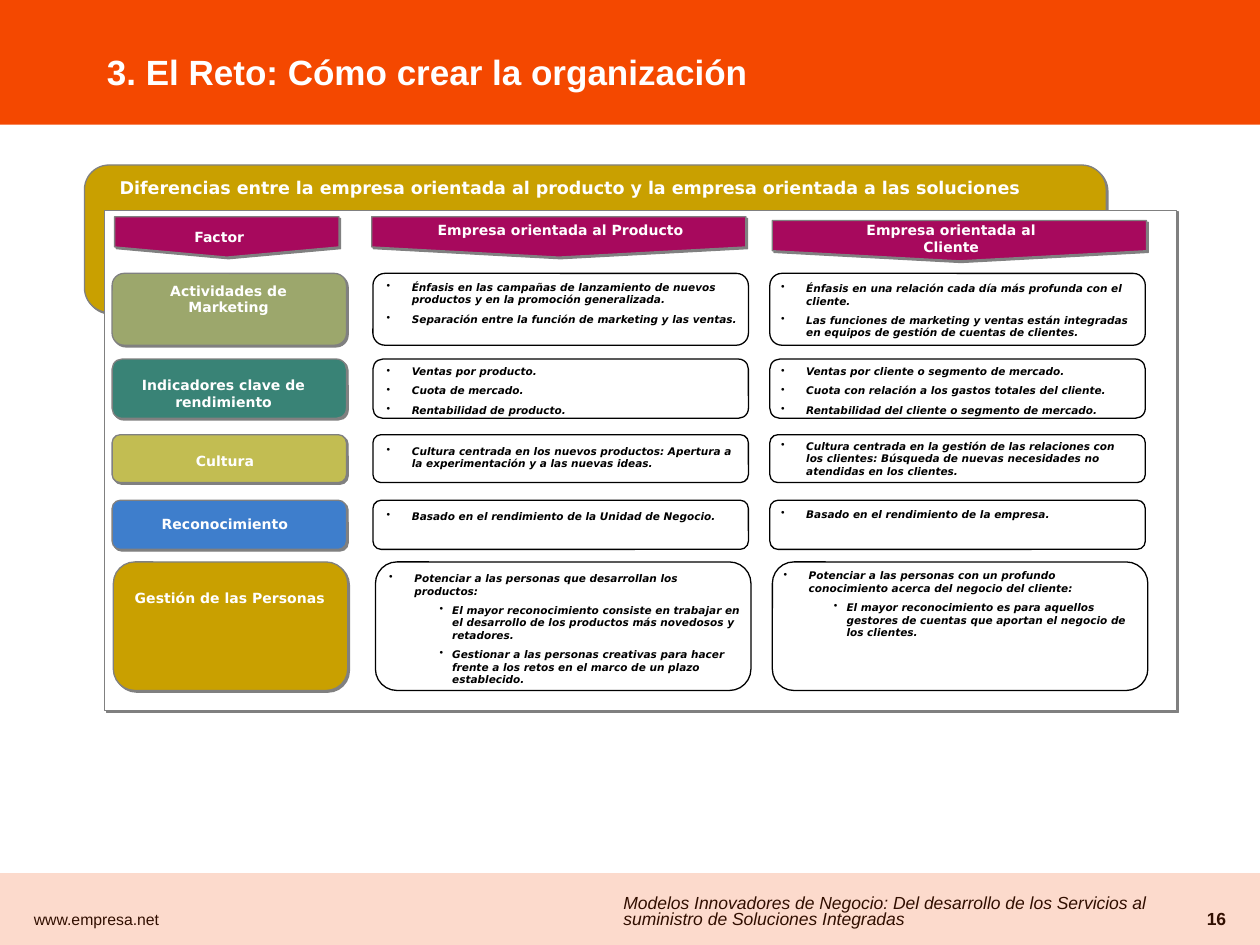
from lxml import etree
from pptx import Presentation
from pptx.dml.color import RGBColor
from pptx.enum.shapes import MSO_SHAPE
from pptx.enum.text import MSO_ANCHOR, MSO_AUTO_SIZE, PP_ALIGN
from pptx.oxml.ns import qn
from pptx.util import Inches, Pt

RECT, ROUND = MSO_SHAPE.RECTANGLE, MSO_SHAPE.ROUNDED_RECTANGLE
LEFT, CENTER, RIGHT = PP_ALIGN.LEFT, PP_ALIGN.CENTER, PP_ALIGN.RIGHT
TOP, MIDDLE = MSO_ANCHOR.TOP, MSO_ANCHOR.MIDDLE
GROW = MSO_AUTO_SIZE.SHAPE_TO_FIT_TEXT

COLORS = {
    "orange": "F44800", "gold": "C9A000", "plum": "A7095D", "sage": "9CA76C",
    "teal": "398376", "lime": "C2BD52", "blue": "3E7ECC", "gray": "808080",
    "white": "FFFFFF", "black": "000000",
}
SANS, WIDE = "Arial", "DejaVu Sans"


def color(name):
    return RGBColor.from_string(COLORS[name])


def node(parent, tag, **attrs):
    item = etree.SubElement(parent, qn(tag))
    for key, value in attrs.items():
        item.set(key, str(value))
    return item


def write(frame, lines, size=8, font=WIDE, ink="white", bold=False,
          italic=False, align=LEFT, space=None, before=0, bullet=False):
    """Fill a text frame; each line is a (level, text) pair or a string."""
    for i, line in enumerate([lines] if isinstance(lines, str) else lines):
        level, text = (0, line) if isinstance(line, str) else line
        para = frame.paragraphs[0] if i == 0 else frame.add_paragraph()
        para.alignment, para.level = align, level
        para.space_before = Pt(before)
        if space:
            para.line_spacing = space
        if bullet:
            margin, hang = (0.5, 0.1) if level else (0.2, 0.2)
            props = para._p.get_or_add_pPr()
            props.set("marL", str(Inches(margin)))
            props.set("indent", str(-Inches(hang)))
            node(props, "a:buChar", char="•")
        run = para.add_run()
        run.text = text
        run.font.size, run.font.name = Pt(size), font
        run.font.bold, run.font.italic = bold, italic
        run.font.color.rgb = color(ink)


class Board:
    """Holds the current slide and the shared look of its parts."""

    def __init__(self, slide):
        self.slide = slide
        self.shapes = slide.shapes

    def paint(self, shape, fill, line=None, shade=False):
        shape.shadow.inherit = False
        shape.fill.solid()
        shape.fill.fore_color.rgb = color(fill)
        if line:
            shape.line.color.rgb = color(line)
            shape.line.width = Pt(0.75)
        else:
            shape.line.fill.background()
        if shade:
            effects = shape._element.spPr.find(qn("a:effectLst"))
            drop = node(effects, "a:outerShdw", dist=Pt(1.4), dir=45 * 60000,
                        algn="ctr", rotWithShape=0)
            node(drop, "a:srgbClr", val=COLORS["gray"])
        return shape

    def box(self, x, y, w, h, fill, line=None, shade=False, kind=RECT):
        shape = self.shapes.add_shape(
            kind, Inches(x), Inches(y), Inches(w), Inches(h))
        if kind == ROUND:
            shape.adjustments[0] = 0.167
        return self.paint(shape, fill, line, shade)

    def banner(self, x, y, w):
        """Column head: a bar whose lower edge comes to a point."""
        pts = [(x, y), (x + w, y), (x + w, y + 0.24),
               (x + w / 2, y + 0.32), (x, y + 0.24)]
        pts = [(Inches(a), Inches(b)) for a, b in pts]
        form = self.shapes.build_freeform(*pts[0])
        form.add_line_segments(pts[1:], close=True)
        self.paint(form.convert_to_shape(), "plum", "gray", True)

    def text(self, x, y, w, h, lines, pad=(0.1, 0.05), anchor=TOP, **look):
        frame = self.shapes.add_textbox(
            Inches(x), Inches(y), Inches(w), Inches(h)).text_frame
        frame.word_wrap = True
        frame.auto_size = GROW if anchor == TOP else MSO_AUTO_SIZE.NONE
        frame.vertical_anchor = anchor
        frame.margin_left = frame.margin_right = Inches(pad[0])
        frame.margin_top = frame.margin_bottom = Inches(pad[1])
        write(frame, lines, **look)

    def label(self, x, y, w, text, h=0.25):
        self.text(x, y, w, h, text, pad=(0.12, 0.06), bold=True, align=CENTER)

    def notes(self, x, y, h, lines):
        self.text(x, y, 2.98, h, lines, size=6, ink="black", bold=True,
                  italic=True, before=3.7, bullet=True)


# Column heads: bar left, top, width; text left, top, width
HEADS = [
    ("Factor", (0.91, 1.72, 1.78), (1.12, 1.75, 1.24)),
    ("Empresa orientada al Producto", (2.95, 1.72, 2.97), (3.03, 1.7, 2.84)),
    ("Empresa orientada al Cliente", (6.13, 1.75, 2.97), (6.52, 1.7, 2.06)),
]

# Rows: label, fill, top, height, label (left, top, width), card shift,
# then (text top, text height, lines) for the product and client columns
ROWS = [
    ("Actividades de Marketing", "sage", 2.17, 0.57, (0.91, 2.18, 1.81), 0, [
        (2.18, 0.45, [
            "Énfasis en las campañas de lanzamiento de nuevos productos y en "
            "la promoción generalizada.",
            "Separación entre la función de marketing y las ventas."]),
        (2.19, 0.45, [
            "Énfasis en una relación cada día más profunda con el cliente.",
            "Las funciones de marketing y ventas están integradas en equipos "
            "de gestión de cuentas de clientes."])]),
    ("Indicadores clave de rendimiento", "teal", 2.85, 0.47,
     (0.83, 2.93, 1.89), 0, [
        (2.85, 0.51, ["Ventas por producto.", "Cuota de mercado.",
                      "Rentabilidad de producto."]),
        (2.85, 0.51, ["Ventas por cliente o segmento de mercado.",
                      "Cuota con relación a los gastos totales del cliente.",
                      "Rentabilidad del cliente o segmento de mercado."])]),
    ("Cultura ", "lime", 3.45, 0.38, (0.9, 3.53, 1.81), 0, [
        (3.48, 0.3, ["Cultura centrada en los nuevos productos: Apertura a la "
                     "experimentación y a las nuevas ideas."]),
        (3.44, 0.3, ["Cultura centrada en la gestión de las relaciones con "
                     "los clientes: Búsqueda de nuevas necesidades no "
                     "atendidas en los clientes."])]),
    ("Reconocimiento ", "blue", 3.97, 0.39, (0.9, 4.03, 1.81), 0, [
        (4, 0.2, ["Basado en el rendimiento de la Unidad de Negocio."]),
        (3.98, 0.2, ["Basado en el rendimiento de la empresa."])]),
    ("Gestión de las Personas", "gold", 4.46, 1.02, (0.92, 4.62, 1.81), 0.02, [
        (4.49, 0.71, [
            "Potenciar a las personas que desarrollan los productos:",
            (1, "El mayor reconocimiento consiste en trabajar en el "
                "desarrollo de los productos más novedosos y retadores."),
            (1, "Gestionar a las personas creativas para hacer frente a los "
                "retos en el marco de un plazo establecido.")]),
        (4.47, 0.55, [
            "Potenciar a las personas con un profundo conocimiento acerca "
            "del negocio del cliente:",
            (1, "El mayor reconocimiento es para aquellos gestores de cuentas "
                "que aportan el negocio de los clientes.")])]),
]
CARDS = [(2.96, 2.97), (6.11, 6.1)]  # card left, text left


def main():
    deck = Presentation()
    deck.slide_width, deck.slide_height = Inches(10), Inches(7.5)
    board = Board(deck.slides.add_slide(deck.slide_layouts[6]))

    # Footer text, under the tinted band
    board.text(0.17, 7.17, 1.75, 0.25, "www.empresa.net", size=9, font=SANS,
               ink="black")
    board.text(9.25, 7.08, 0.58, 0.42, "16", anchor=MIDDLE, size=10,
               font=SANS, ink="black", bold=True, align=RIGHT)
    board.text(4.85, 7.06, 4.56, 0.37,
               "Modelos Innovadores de Negocio: Del desarrollo de los "
               "Servicios al suministro de Soluciones Integradas",
               size=10, font=SANS, ink="black", italic=True, space=0.8)

    # Gold backing with its heading
    board.box(0.67, 1.31, 8.11, 1.17, "gold", "gray", True, ROUND)
    board.text(0.83, 1.33, 7.72, 0.3,
               "Diferencias entre la empresa orientada al producto y la "
               "empresa orientada a las soluciones",
               pad=(0.12, 0.06), size=10, bold=True, space=1.1)

    # Footer band, top band and title
    band = board.box(0, 6.93, 10, 0.57, "orange")
    tint = band._element.spPr.find(qn("a:solidFill"))[0]
    node(tint, "a:alpha", val=20000)
    board.box(0, 0, 10, 0.99, "orange")
    board.text(0.75, 0.39, 5.67, 0.42,
               "3. El Reto: Cómo crear la organización",
               size=20, font=SANS, bold=True, space=0.9)

    # White panel and column heads
    board.box(0.83, 1.67, 8.51, 3.97, "white", "gray", True)
    for text, bar, place in HEADS:
        board.banner(*bar)
        board.label(*place, text)

    # One factor and two cards per row
    for text, fill, top, high, place, shift, cells in ROWS:
        board.box(0.89 + shift / 2, top, 1.86, high, fill, "gray", True, ROUND)
        board.label(*place, text)
        for (left, inset), (y, h, lines) in zip(CARDS, cells):
            board.box(left + shift, top, 2.98, high, "white", "black",
                      kind=ROUND)
            board.notes(inset + shift, y, h, lines)

    deck.save("out.pptx")


if __name__ == "__main__":
    main()
